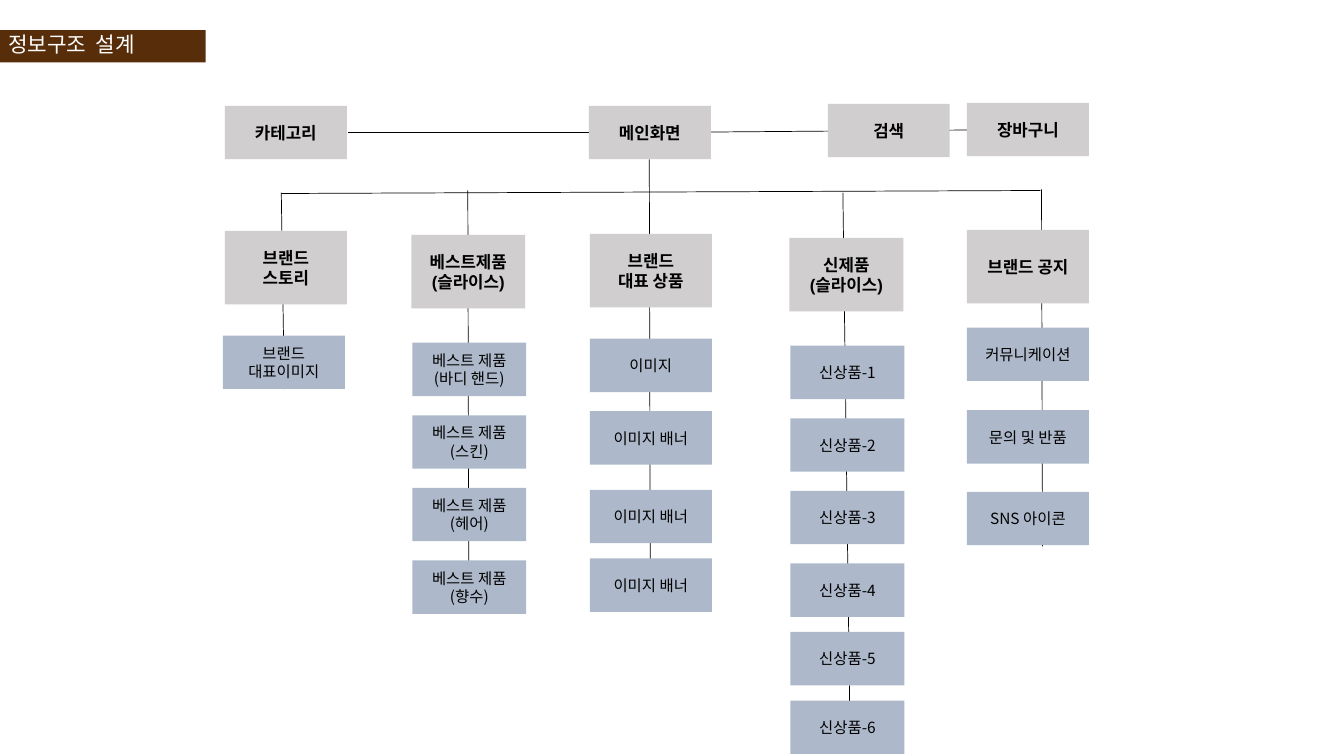
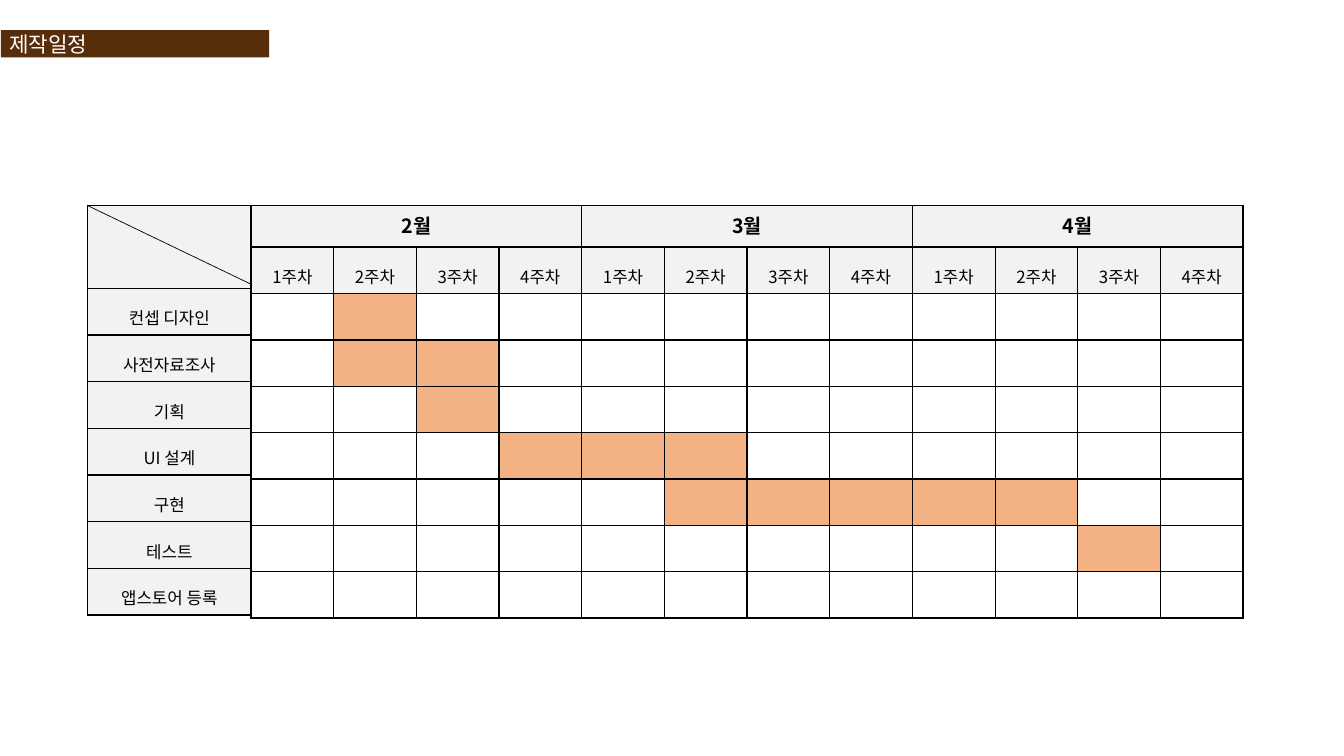
from lxml import etree
from pptx import Presentation
from pptx import util as u
from pptx.dml import color
from pptx.enum import shapes, text
from pptx.oxml import ns

HUES = {
    "brown": "582D0A", "gray": "D0CECE", "blue": "ADB9CA", "pale": "F2F2F2",
    "orange": "F4B183", "white": "FFFFFF", "black": "000000",
}
NOTO = "Noto Sans CJK KR"
BOX = 0.53
HEAD = 0.73

TOP = [
    (2.23, 1.05, "카테고리", "Arial"),
    (5.84, 1.05, "메인화면", NOTO),
    (8.21, 1.03, "검색", NOTO),
    (9.59, 1.02, "장바구니", NOTO),
]
LINKS = [
    (5.84, 1.31, 3.45, 1.31), (9.59, 1.29, 7.05, 1.31),
    (10.32, 1.89, 2.79, 1.92),
    (8.36, 1.91, 8.43, 7.23), (10.33, 1.88, 10.34, 5.42),
    (2.79, 1.91, 2.82, 3.86), (4.64, 1.89, 4.65, 6.04),
    (6.44, 1.58, 6.45, 6.07),
]
TREE = [
    (2.23, 2.29, 1.21, "브랜드\n스토리", 2.21,
     [(3.33, "브랜드\n대표이미지")]),
    (4.08, 2.33, 1.13, "베스트제품\n(슬라이스)", 4.09,
     [(3.4 + 0.72 * i, f"베스트 제품\v({kind})")
      for i, kind in enumerate(["바디 핸드", "스킨", "헤어", "향수"])]),
    (5.85, 2.32, 1.21, "브랜드\n대표 상품", 5.85,
     [(3.36, "이미지")] + [(y, "이미지 배너") for y in (4.08, 4.86, 5.54)]),
    (7.83, 2.36, 1.13, "신제품\n(슬라이스)", 7.84,
     [(y, f"신상품-{i}") for i, y in
      enumerate([3.43, 4.15, 4.87, 5.59, 6.27, 6.95], 1)]),
    (9.59, 2.28, 1.21, "브랜드 공지", 9.59,
     [(3.25, "커뮤니케이션"), (4.07, "문의 및 반품"), (4.88, "SNS 아이콘")]),
]

MONTHS = ["2월", "3월", "4월"]
WEEKS = 4
TASKS = [
    ("컨셉 디자인", range(1, 2)),
    ("사전자료조사", range(1, 3)),
    ("기획", range(2, 3)),
    ("UI 설계", range(3, 6)),
    ("구현", range(5, 10)),
    ("테스트", range(10, 11)),
    ("앱스토어 등록", range(0)),
]
LEFT, TABLE_TOP, NAME_W, WEEK_W = 0.87, 2.04, 1.62, 0.82
ROW_H, MONTH_H, CORNER_H = 0.46, 0.41, 0.82


def rgb(hue):
    return color.RGBColor.from_string(HUES[hue])


def style(par, size, hue="black", face=NOTO, bold=False, align=text.PP_ALIGN.CENTER, space=None):
    par.font.size = u.Pt(size)
    par.font.name = face
    par.font.bold = bold
    par.font.color.rgb = rgb(hue)
    par.alignment = align
    if space:
        par.line_spacing = space


def rect(slide, x, y, w, h, hue):
    shape = slide.shapes.add_shape(
        shapes.MSO_SHAPE.RECTANGLE, *map(u.Inches, (x, y, w, h)))
    shape.shadow.inherit = False
    shape.fill.solid()
    shape.fill.fore_color.rgb = rgb(hue)
    shape.line.fill.background()
    return shape


def title(slide, words, x, w, h):
    frame = rect(slide, x, 0.3, w, h, "brown").text_frame
    frame.margin_left = frame.margin_right = u.Inches(0.08)
    frame.margin_top = frame.margin_bottom = u.Inches(0.04)
    frame.vertical_anchor = text.MSO_ANCHOR.TOP
    frame.text = words
    style(frame.paragraphs[0], 15.2, "white", align=text.PP_ALIGN.LEFT, space=0.9)


def box(slide, x, y, w, h, words, hue, size, face=NOTO, bold=False):
    frame = rect(slide, x, y, w, h, hue).text_frame
    frame.vertical_anchor = text.MSO_ANCHOR.MIDDLE
    frame.text = words
    for par in frame.paragraphs:
        style(par, size, face=face, bold=bold)


def line(slide, *ends):
    link = slide.shapes.add_connector(
        shapes.MSO_CONNECTOR.STRAIGHT, *map(u.Inches, ends))
    link.line.color.rgb = rgb("black")
    link.line.width = u.Pt(0.5)
    etree.SubElement(link._element.spPr, ns.qn("a:effectLst"))


def border(cell):
    props = cell._tc.get_or_add_tcPr()
    for i, side in enumerate(("lnL", "lnR", "lnT", "lnB")):
        edge = etree.Element(ns.qn(f"a:{side}"), w=str(u.Pt(1)))
        fill = etree.SubElement(edge, ns.qn("a:solidFill"))
        etree.SubElement(fill, ns.qn("a:srgbClr"), val=HUES["black"])
        props.insert(i, edge)


def grid(slide, x, cols, rows):
    table = slide.shapes.add_table(
        len(rows), len(cols), u.Inches(x), u.Inches(TABLE_TOP),
        u.Inches(sum(cols)), u.Inches(sum(rows))).table
    table.first_row = table.horz_banding = False
    for col, w in zip(table.columns, cols):
        col.width = u.Inches(w)
    for row, h in zip(table.rows, rows):
        row.height = u.Inches(h)
    for cell in table.iter_cells():
        paint(cell, "white")
        border(cell)
    return table


def paint(cell, hue):
    cell.fill.solid()
    cell.fill.fore_color.rgb = rgb(hue)


def label(cell, words, size=12, bold=False, space=1.5):
    paint(cell, "pale")
    cell.text = words
    style(cell.text_frame.paragraphs[0], size, bold=bold, space=space)


def names(slide):
    table = grid(slide, LEFT, [NAME_W], [CORNER_H] + [ROW_H] * len(TASKS))
    paint(table.cell(0, 0), "pale")
    for i, (name, _) in enumerate(TASKS, 1):
        label(table.cell(i, 0), name)


def month(slide, index, name):
    x = LEFT + NAME_W + index * WEEKS * WEEK_W
    table = grid(slide, x, [WEEK_W] * WEEKS,
                 [MONTH_H] + [ROW_H] * (len(TASKS) + 1))
    for week in range(WEEKS):
        paint(table.cell(0, week), "pale")
        label(table.cell(1, week), f"{week + 1}주차")
        for row, (_, span) in enumerate(TASKS, 2):
            if index * WEEKS + week in span:
                paint(table.cell(row, week), "orange")
    table.cell(0, 0).merge(table.cell(0, WEEKS - 1))
    label(table.cell(0, 0), name, 14, True, None)


def sitemap(slide):
    title(slide, "정보구조  설계", 0, 2.04, 0.32)
    for ends in LINKS:
        line(slide, *ends)
    for x, y, words, face in TOP:
        box(slide, x, y, 1.21, BOX, words, "gray", 12, face, True)
    for x, y, w, words, left, kids in TREE:
        box(slide, x, y, w, HEAD, words, "gray", 12, "Arial", True)
        for top, item in kids:
            box(slide, left, top, w, BOX, item, "blue", 11)


def plan(slide):
    title(slide, "제작일정", 0.01, 2.66, 0.27)
    names(slide)
    for index, name in enumerate(MONTHS):
        month(slide, index, name)
    line(slide, LEFT, TABLE_TOP, LEFT + NAME_W, 2.82)


def main():
    deck = Presentation()
    deck.slide_width, deck.slide_height = u.Inches(13.33), u.Inches(7.5)
    for draw in (sitemap, plan):
        draw(deck.slides.add_slide(deck.slide_layouts[6]))
    deck.save("out.pptx")


if __name__ == "__main__":
    main()
